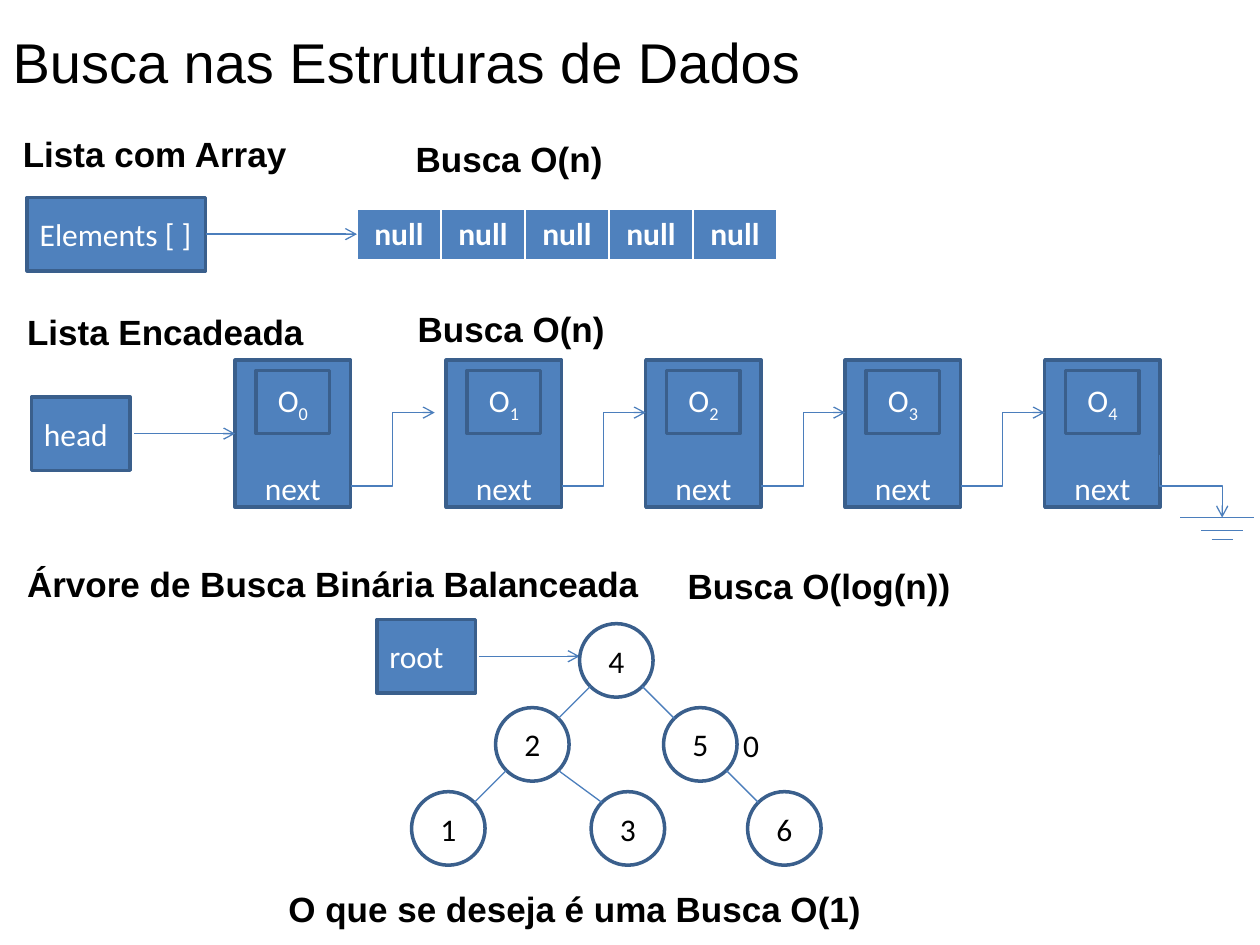
from dataclasses import dataclass
from math import sqrt

from lxml.etree import SubElement
from pptx import Presentation
from pptx.dml.color import RGBColor
from pptx.enum.shapes import MSO_CONNECTOR as Link, MSO_SHAPE as Shape
from pptx.enum.text import MSO_ANCHOR as Anchor, PP_ALIGN as Align
from pptx.oxml.ns import qn
from pptx.util import Inches, Pt

COLUMNS, ROWS = 120, 90


@dataclass(frozen=True)
class Theme:
    """Colours, fonts and sizes of the slide."""
    box: str = "4F81BD"
    border: str = "3A5F8C"
    link: str = "4B7EBC"
    light: str = "FFFFFF"
    dark: str = "000000"
    heading_font: str = "Arial"
    body_font: str = "Calibri"
    title_size: int = 32
    heading_size: int = 20
    body_size: int = 18
    border_width: float = 2
    link_width: float = 0.75


class Board:
    """Draws styled elements on one slide, measured in grid columns and rows."""

    def __init__(self, deck, theme):
        """Add a title-only page to the deck."""
        self.theme = theme
        self.page = deck.slides.add_slide(deck.slide_layouts[5])
        self.column = deck.slide_width / COLUMNS
        self.row = deck.slide_height / ROWS

    def place(self, x, y, width, height):
        """Turn grid lengths into slide lengths."""
        return (round(x * self.column), round(y * self.row),
                round(width * self.column), round(height * self.row))

    def style(self, para, size, color, font, bold=False, align=Align.LEFT):
        """Format every run of a paragraph."""
        para.alignment = align
        for span in para.runs:
            span.font.size, span.font.bold, span.font.name = Pt(size), bold, font
            span.font.color.rgb = RGBColor.from_string(color)

    def title(self, text, *area):
        """Fill and move the title placeholder."""
        box = self.page.shapes.title
        box.left, box.top, box.width, box.height = self.place(*area)
        box.text_frame.text = text
        box.text_frame.word_wrap = False
        box.text_frame.vertical_anchor = Anchor.TOP
        self.style(box.text_frame.paragraphs[0], self.theme.title_size,
                   self.theme.dark, self.theme.heading_font)

    def label(self, text, *area, heading=True, align=Align.LEFT):
        """Add a bold heading or a plain small text."""
        look = self.theme
        frame = self.page.shapes.add_textbox(*self.place(*area)).text_frame
        frame.text = text
        frame.word_wrap = heading
        self.style(frame.paragraphs[0],
                   look.heading_size if heading else look.body_size, look.dark,
                   look.heading_font if heading else look.body_font, heading, align)

    def shape(self, text, *area, kind=Shape.RECTANGLE, filled=True,
              align=Align.CENTER, index="", low=False):
        """Add an outlined shape, with an optional subscript or low text."""
        look = self.theme
        box = self.page.shapes.add_shape(kind, *self.place(*area))
        box.shadow.inherit = False
        if filled:
            box.fill.solid()
            box.fill.fore_color.rgb = RGBColor.from_string(look.box)
        else:
            box.fill.background()
        box.line.color.rgb = RGBColor.from_string(look.border)
        box.line.width = Pt(look.border_width)
        frame = box.text_frame
        frame.text = text
        frame.vertical_anchor = Anchor.BOTTOM if low else Anchor.MIDDLE
        if low:
            frame.margin_bottom = 0
        para = frame.paragraphs[0]
        if index:
            span = para.add_run()
            span.text = index
            span.font._element.set("baseline", "-25000")
        self.style(para, look.body_size, look.light if filled else look.dark,
                   look.body_font, align=align)

    def line(self, x1, y1, x2, y2, kind=Link.STRAIGHT, arrow=False, upright=False):
        """Add a connector; an upright elbow leaves and arrives vertically."""
        begin, end = self.place(x1, y1, x2, y2)[:2], self.place(x1, y1, x2, y2)[2:]
        link = self.page.shapes.add_connector(kind, *begin, *end)
        link.line.color.rgb = RGBColor.from_string(self.theme.link)
        link.line.width = Pt(self.theme.link_width)
        props = link._element.spPr
        if arrow:
            SubElement(props.find(qn("a:ln")), qn("a:tailEnd"), type="arrow")
        SubElement(props, qn("a:effectLst"))
        if upright:
            frame = props.find(qn("a:xfrm"))
            frame.set("rot", "16200000")
            frame.set("flipH", "1")

    def table(self, texts, x, y, width, height):
        """Add a one-row table of equal cells."""
        look = self.theme
        grid = self.page.shapes.add_table(
            1, len(texts), *self.place(x, y, width * len(texts), height)).table
        for cell, text in zip(grid.rows[0].cells, texts):
            cell.text = text
            cell.fill.solid()
            cell.fill.fore_color.rgb = RGBColor.from_string(look.box)
            self.style(cell.text_frame.paragraphs[0], look.body_size, look.light,
                       look.body_font, True, Align.CENTER)


def draw_array(board):
    """Draw the list kept in an array."""
    board.label("Lista com Array", 1, 12, 115, 5.3)
    board.label("Busca O(n)", 38.4, 12.5, 33.2, 5.3)
    board.shape("Elements [ ]", 2.6, 18.8, 17, 7, align=Align.LEFT)
    board.table(["null"] * 5, 34, 19.9, 8, 4.8)
    board.line(19.6, 22.3, 34, 22.3, arrow=True)


def draw_linked_list(board):
    """Draw the linked list, from its head to the ground symbol."""
    board.label("Lista Encadeada", 1.4, 29, 115, 5.3)
    board.label("Busca O(n)", 38.6, 28.7, 33.2, 5.3)
    board.shape("head", 3, 37.8, 9.4, 7, align=Align.LEFT)
    lefts = [22.4] + [42.5 + 19 * step for step in range(4)]
    for number, left in enumerate(lefts):
        board.shape("next", left, 34.3, 11, 14, low=True)
        board.shape("O", left + 2, 35.3, 7, 6, index=str(number))
    board.line(12.8, 41.3, lefts[0], 41.3, arrow=True)
    for left in lefts[:-1]:
        board.line(left + 11, 46.3, left + 19, 39.3, Link.ELBOW, arrow=True)
    board.line(110.4, 43.3, 116.4, 49.3, Link.ELBOW, arrow=True, upright=True)
    for start, end, y in ((112.4, 119.4, 49.3), (114.4, 118.4, 50.5),
                          (115.4, 117.4, 51.4)):
        board.line(start, y, end, y)


def draw_tree(board):
    """Draw the balanced binary search tree."""
    board.label("Árvore de Busca Binária Balanceada", 1.4, 53, 115, 5.3)
    board.label("Busca O(log(n))", 64.3, 53.2, 33.2, 5.3)
    board.shape("root", 35.9, 59, 9.4, 7, align=Align.LEFT)
    board.line(45.6, 62.5, 55.2, 62.5, arrow=True)
    size = 7
    nodes = {"4": (55.2, 59.4), "2": (47.2, 67.4), "5": (63.2, 67.4),
             "1": (39.2, 75.4), "3": (56.3, 75.4), "6": (71.2, 75.4)}
    for text, corner in nodes.items():
        board.shape(text, *corner, size, size, kind=Shape.OVAL, filled=False)
    middle, reach = size / 2, size / 2 / sqrt(2)
    for parent, child in ("42", "45", "21", "23", "56"):
        (x1, y1), (x2, y2) = nodes[parent], nodes[child]
        side = reach if x2 > x1 else -reach
        board.line(x1 + middle + side, y1 + middle + reach,
                   x2 + middle - side, y2 + middle - reach)
    board.label("0", 69.6, 68.6, 4, 4.8, heading=False)


def main():
    """Build and save the deck."""
    deck = Presentation()
    deck.slide_width, deck.slide_height = Inches(10), Inches(7.5)
    board = Board(deck, Theme())
    board.title("Busca nas Estruturas de Dados", 0, 2, 78, 7.7)
    draw_array(board)
    draw_linked_list(board)
    draw_tree(board)
    board.label("O que se deseja é uma Busca O(1)", 8, 83.9, 93.5, 5.3,
                align=Align.CENTER)
    deck.save("out.pptx")


main()
